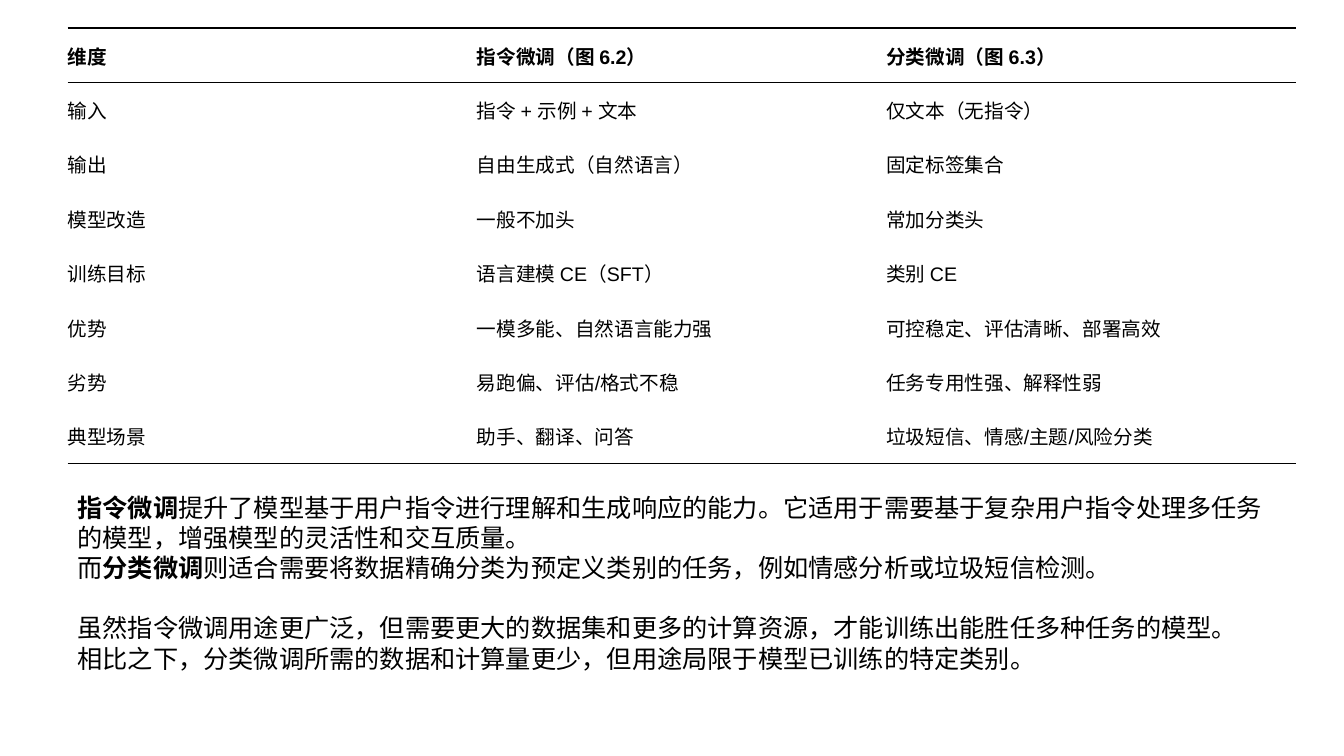
from lxml.etree import SubElement
from pptx import Presentation
from pptx.dml.color import RGBColor
from pptx.enum.text import MSO_ANCHOR
from pptx.oxml.ns import qn
from pptx.util import Inches, Pt

BLACK, WHITE = "000000", "FFFFFF"
LEFT, WIDTH = 0.67, 12.18

COMPARISON = [
    ("维度", "指令微调（图 6.2）", "分类微调（图 6.3）"),
    ("输入", "指令 + 示例 + 文本", "仅文本（无指令）"),
    ("输出", "自由生成式（自然语言）", "固定标签集合"),
    ("模型改造", "一般不加头", "常加分类头"),
    ("训练目标", "语言建模 CE（SFT）", "类别 CE"),
    ("优势", "一模多能、自然语言能力强", "可控稳定、评估清晰、部署高效"),
    ("劣势", "易跑偏、评估/格式不稳", "任务专用性强、解释性弱"),
    ("典型场景", "助手、翻译、问答", "垃圾短信、情感/主题/风险分类"),
]
# Horizontal rules: row boundary -> width in points
RULES = {0: 1.5, 1: 0.75, len(COMPARISON): 1.5}

# Each paragraph: space before in points, then (text, bold) pieces
SUMMARY = [
    (0, [("指令微调", True),
         ("提升了模型基于用户指令进行理解和生成响应的能力。它适用于需要基于复杂用户指令处理多任务的模型，"
          "增强模型的灵活性和交互质量。", False)]),
    (0, [("而", False), ("分类微调", True),
         ("则适合需要将数据精确分类为预定义类别的任务，例如情感分析或垃圾短信检测。", False)]),
    (21.6, [("虽然指令微调用途更广泛，但需要更大的数据集和更多的计算资源，"
             "才能训练出能胜任多种任务的模型。", False)]),
    (0, [("相比之下，分类微调所需的数据和计算量更少，但用途局限于模型已训练的特定类别。", False)]),
]


def rgb(value):
    return RGBColor.from_string(value)


def add_text(paragraph, text, size=14, bold=False, color=BLACK, font="Arial"):
    run = paragraph.add_run()
    run.text = text
    run.font.name = font
    run.font.size = Pt(size)
    run.font.bold = bold
    run.font.color.rgb = rgb(color)


def add_border(cell, side, width):
    """Rule one side of a cell, or clear it when width is None."""
    line = SubElement(cell._tc.get_or_add_tcPr(), qn(f"a:ln{side}"))
    if width is None:
        SubElement(line, qn("a:noFill"))
    else:
        line.set("w", str(int(Pt(width))))
        fill = SubElement(line, qn("a:solidFill"))
        SubElement(fill, qn("a:srgbClr")).set("val", BLACK)


def add_comparison(slide, left, top, width, height):
    rows, columns = len(COMPARISON), len(COMPARISON[0])
    table = slide.shapes.add_table(
        rows, columns, Inches(left), Inches(top), Inches(width), Inches(height)).table
    table.first_row = table.horz_banding = False
    for r, entries in enumerate(COMPARISON):
        for c, entry in enumerate(entries):
            cell = table.cell(r, c)
            cell.margin_left = cell.margin_right = 0
            cell.margin_top = cell.margin_bottom = 0
            cell.vertical_anchor = MSO_ANCHOR.MIDDLE
            # Borders precede the fill in the cell properties
            borders = {"L": None, "R": None, "T": RULES.get(r), "B": RULES.get(r + 1)}
            for side, rule in borders.items():
                add_border(cell, side, rule)
            cell.fill.solid()
            cell.fill.fore_color.rgb = rgb(WHITE)
            add_text(cell.text_frame.paragraphs[0], entry, bold=r == 0)


def add_summary(slide, left, top, width, height):
    frame = slide.shapes.add_textbox(
        Inches(left), Inches(top), Inches(width), Inches(height)).text_frame
    frame.word_wrap = True
    for i, (gap, pieces) in enumerate(SUMMARY):
        paragraph = frame.add_paragraph() if i else frame.paragraphs[0]
        if gap:
            paragraph.space_before = Pt(gap)
        for text, bold in pieces:
            add_text(paragraph, text, size=18, bold=bold)


def main():
    prs = Presentation()
    prs.slide_width, prs.slide_height = Inches(13.33), Inches(7.5)
    slide = prs.slides.add_slide(prs.slide_layouts[6])
    # Comparison table above, summary text below
    add_comparison(slide, LEFT, 0.28, WIDTH, 4.32)
    add_summary(slide, LEFT, 4.83, WIDTH, 2.09)
    prs.save("out.pptx")


if __name__ == "__main__":
    main()
